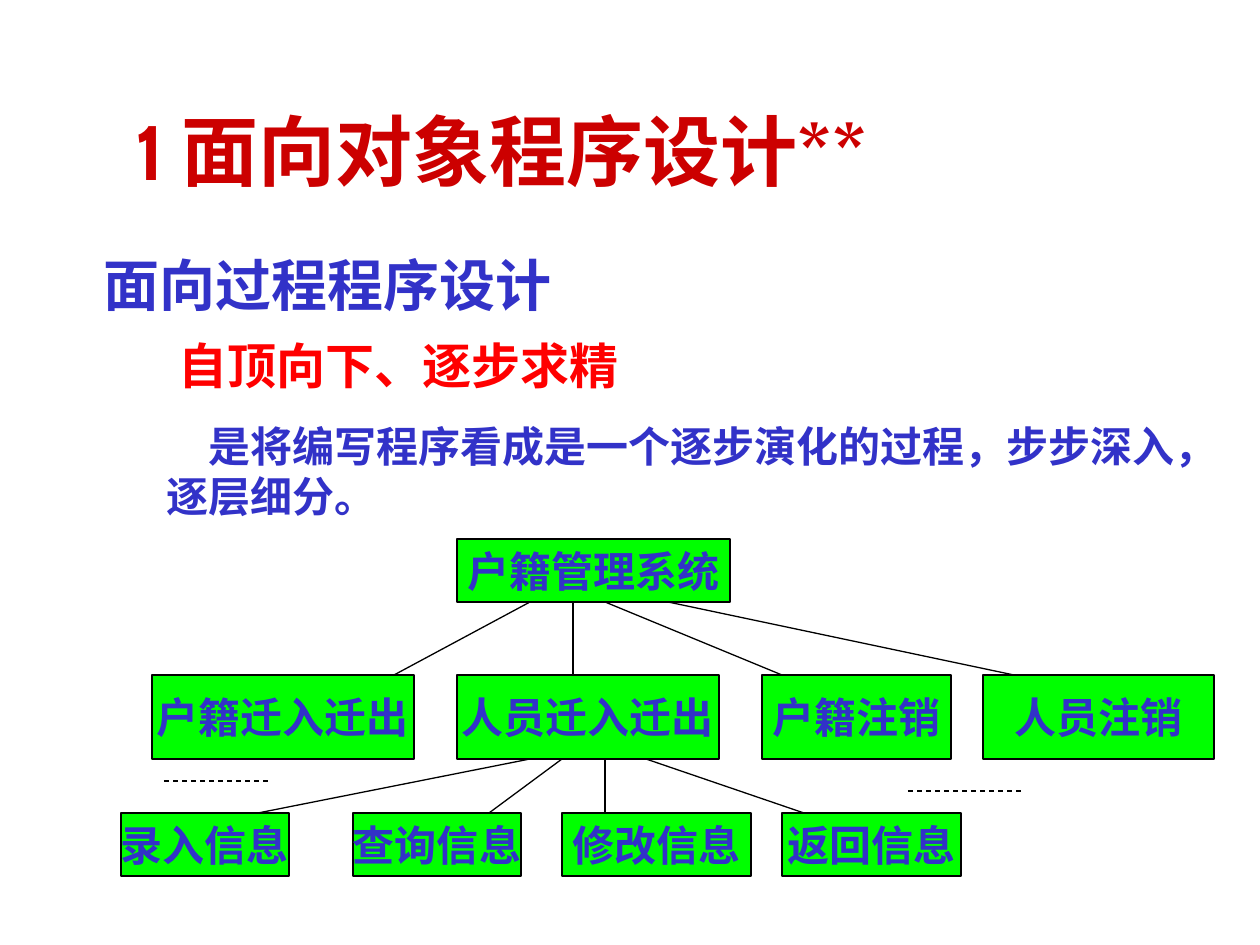
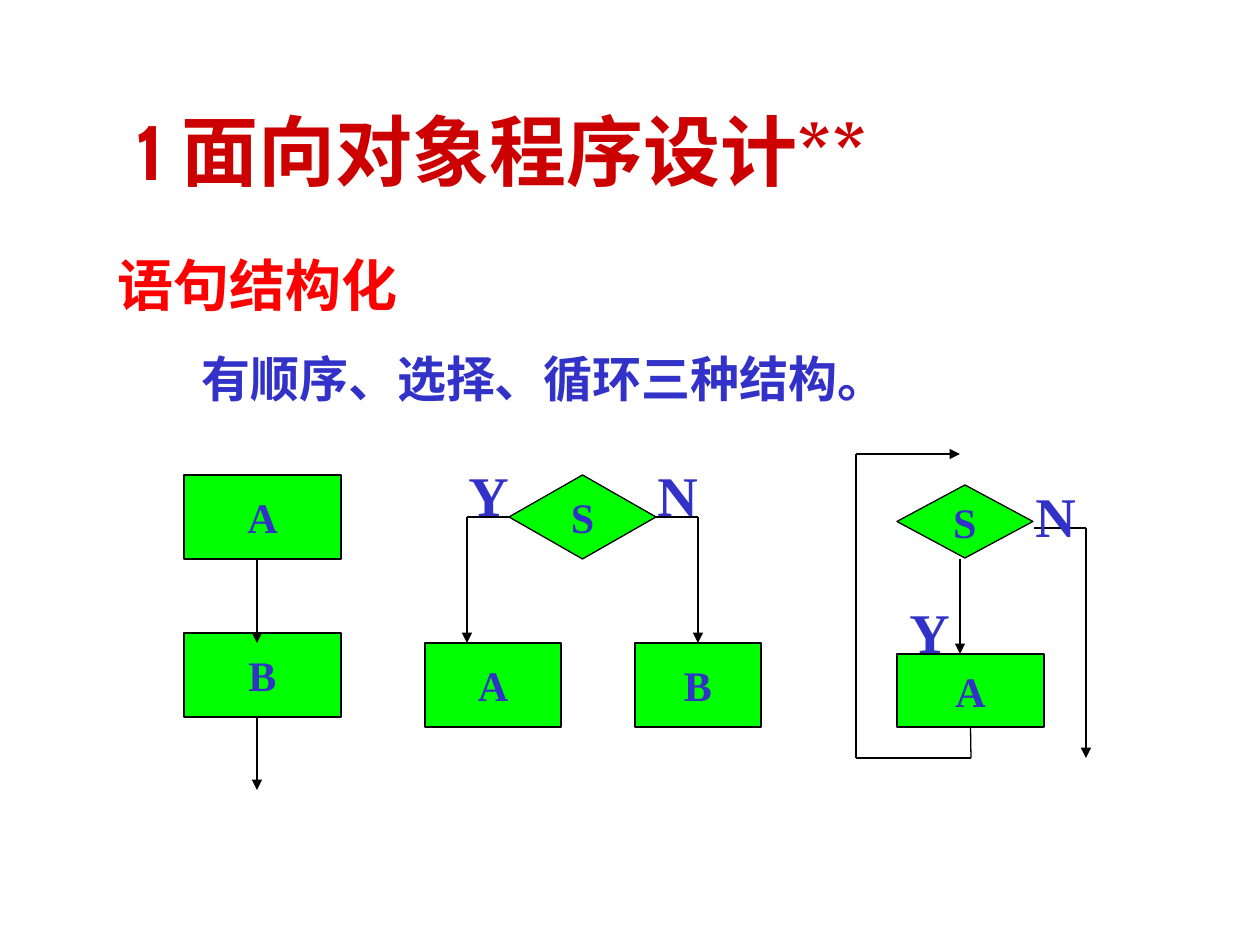
from lxml.etree import SubElement
from pptx import Presentation
from pptx.dml.color import RGBColor
from pptx.enum.dml import MSO_LINE
from pptx.enum.shapes import MSO_CONNECTOR, MSO_SHAPE
from pptx.enum.text import MSO_ANCHOR, PP_ALIGN
from pptx.oxml.ns import qn
from pptx.util import Emu, Pt

SCALE = 914400 / 126
BLUE, RED, CRIMSON = "3232C8", "FF0000", "CC0000"
GREEN, BLACK = "00FF00", "000000"
SANS, SERIF = "Cabin", "Times New Roman"
TOP, LEFT, BOTTOM, RIGHT = range(4)


def px(n):
    return Emu(round(n * SCALE))


def color(code):
    return RGBColor.from_string(code)


def add_run(para, text, size, font, tint):
    run = para.add_run()
    run.text = text
    run.font.size = Pt(size)
    run.font.name = font
    run.font.bold = True
    run.font.color.rgb = color(tint)


def add_text(slide, box, lines, align=PP_ALIGN.LEFT):
    frame = slide.shapes.add_textbox(*map(px, box)).text_frame
    frame.word_wrap = True
    for i, (text, size, font, tint, indent, before) in enumerate(lines):
        para = frame.add_paragraph() if i else frame.paragraphs[0]
        para.alignment = align
        if before:
            para.space_before = Pt(before)
        if indent:
            props = para._p.get_or_add_pPr()
            props.set("marL", "0")
            props.set("indent", str(px(indent)))
        add_run(para, text, size, font, tint)


def add_label(slide, box, text):
    add_text(slide, box, [(text, 32, SERIF, BLUE, 0, 0)], PP_ALIGN.CENTER)


def add_node(slide, box, text, kind=MSO_SHAPE.RECTANGLE):
    node = slide.shapes.add_shape(kind, *map(px, box))
    node.shadow.inherit = False
    node.fill.solid()
    node.fill.fore_color.rgb = color(GREEN)
    node.line.color.rgb = color(BLACK)
    node.line.width = Pt(0.75)
    frame = node.text_frame
    frame.word_wrap = False
    frame.vertical_anchor = MSO_ANCHOR.MIDDLE
    para = frame.paragraphs[0]
    para.alignment = PP_ALIGN.CENTER
    add_run(para, text, 24, SERIF, BLUE)
    return node


def add_line(slide, box, ends, arrow=False, dash=False, start=None, stop=None):
    left, top = box
    x1, y1, x2, y2 = ends
    points = left + x1, top + y1, left + x2, top + y2
    line = slide.shapes.add_connector(MSO_CONNECTOR.STRAIGHT, *map(px, points))
    if start:
        line.begin_connect(*start)
    if stop:
        line.end_connect(*stop)
    line.line.color.rgb = color(BLACK)
    line.line.width = Pt(0.75)
    if dash:
        line.line.dash_style = MSO_LINE.DASH
    if arrow:
        SubElement(line.line._get_or_add_ln(), qn("a:tailEnd"), type="triangle")
    SubElement(line._element.spPr, qn("a:effectLst"))


def add_page(deck):
    slide = deck.slides.add_slide(deck.slide_layouts[5])
    title = slide.shapes.title
    title.left, title.top, title.width, title.height = map(px, (123, 76, 1074, 126))
    frame = title.text_frame
    frame.word_wrap = True
    frame.vertical_anchor = MSO_ANCHOR.BOTTOM
    para = frame.paragraphs[0]
    para.alignment = PP_ALIGN.LEFT
    add_run(para, "1 面向对象程序设计**", 44, SANS, CRIMSON)
    return slide


def draw_tree(slide, box):
    left, top = box
    rows = [
        (0, 63, [(336, 273, "户籍管理系统")]),
        (136, 84, [(31, 262, "户籍迁入迁出"), (336, 262, "人员迁入迁出"),
                   (641, 189, "户籍注销"), (862, 231, "人员注销")]),
        (274, 63, [(0, 168, "录入信息"), (232, 168, "查询信息"),
                   (441, 189, "修改信息"), (661, 179, "返回信息")]),
    ]
    for y, high, nodes in rows:
        for x, wide, text in nodes:
            add_node(slide, (left + x, top + y, wide, high), text)
    fans = [
        [(409, 273), (452, 452), (484, 661), (547, 893)],
        [(409, 137), (441, 368), (484, 484), (525, 683)],
    ]
    for (y, high, _), (below, _, _), fan in zip(rows, rows[1:], fans):
        for x1, x2 in fan:
            add_line(slide, box, (x1, y + high, x2, below))
    for x1, x2, y in [(787, 903, 252), (43, 147, 242)]:
        add_line(slide, box, (x1, y, x2, y), dash=True)


def draw_chain(slide, box):
    left, top = box
    for i, text in enumerate("AB"):
        add_node(slide, (left, top + 158 * i, 157, 84), text)
    for y1, y2 in [(84, 168), (242, 315)]:
        add_line(slide, box, (73, y1, 73, y2), arrow=True)


def draw_choice(slide, box):
    left, top = box
    test = add_node(slide, (left + 84, top + 21, 147, 84), "S",
                    MSO_SHAPE.FLOWCHART_DECISION)
    add_node(slide, (left, top + 189, 136, 84), "A")
    other = add_node(slide, (left + 210, top + 189, 126, 84), "B")
    add_line(slide, box, (42, 63, 84, 63), stop=(test, LEFT))
    add_line(slide, box, (42, 63, 42, 189), arrow=True)
    add_line(slide, box, (231, 63, 273, 63), start=(test, RIGHT))
    add_line(slide, box, (273, 63, 273, 189), arrow=True, stop=(other, TOP))
    for x, text in [(31, "Y"), (220, "N")]:
        add_label(slide, (left + x, top, 53, 81), text)


def draw_loop(slide, box):
    left, top = box
    add_node(slide, (left + 41, top + 31, 136, 73), "S",
             MSO_SHAPE.FLOWCHART_DECISION)
    step = add_node(slide, (left + 41, top + 200, 147, 73), "A")
    add_line(slide, box, (104, 105, 104, 200), arrow=True)
    add_line(slide, box, (115, 273, 115, 304), start=(step, BOTTOM))
    add_line(slide, box, (0, 304, 115, 304))
    add_line(slide, box, (0, 0, 0, 304))
    add_line(slide, box, (0, 0, 104, 0), arrow=True)
    add_line(slide, box, (178, 74, 230, 74))
    add_line(slide, box, (230, 74, 230, 304), arrow=True)
    for x, y, wide, text in [(41, 137, 42, "Y"), (167, 21, 53, "N")]:
        add_label(slide, (left + x, top + y, wide, 81), text)


def build_design(deck):
    slide = add_page(deck)
    add_text(slide, (154, 329, 1062, 276), [
        ("自顶向下、逐步求精", 28, SANS, RED, 12, 0),
        ("是将编写程序看成是一个逐步演化的过程，步步深入，逐层细分。",
         24, SANS, BLUE, 42, 15),
    ])
    add_text(slide, (91, 244, 735, 81),
             [("面向过程程序设计", 32, SERIF, BLUE, 0, 0)])
    draw_tree(slide, (121, 539))


def build_flow(deck):
    slide = add_page(deck)
    add_text(slide, (105, 244, 1062, 170), [
        ("语句结构化", 32, SANS, RED, 0, 0),
        ("有顺序、选择、循环三种结构。", 28, SANS, BLUE, 84, 17.5),
    ])
    draw_chain(slide, (184, 475))
    draw_choice(slide, (425, 454))
    draw_loop(slide, (856, 454))


def main():
    deck = Presentation()
    deck.slide_width, deck.slide_height = px(1260), px(945)
    build_design(deck)
    build_flow(deck)
    deck.save("out.pptx")


if __name__ == "__main__":
    main()
